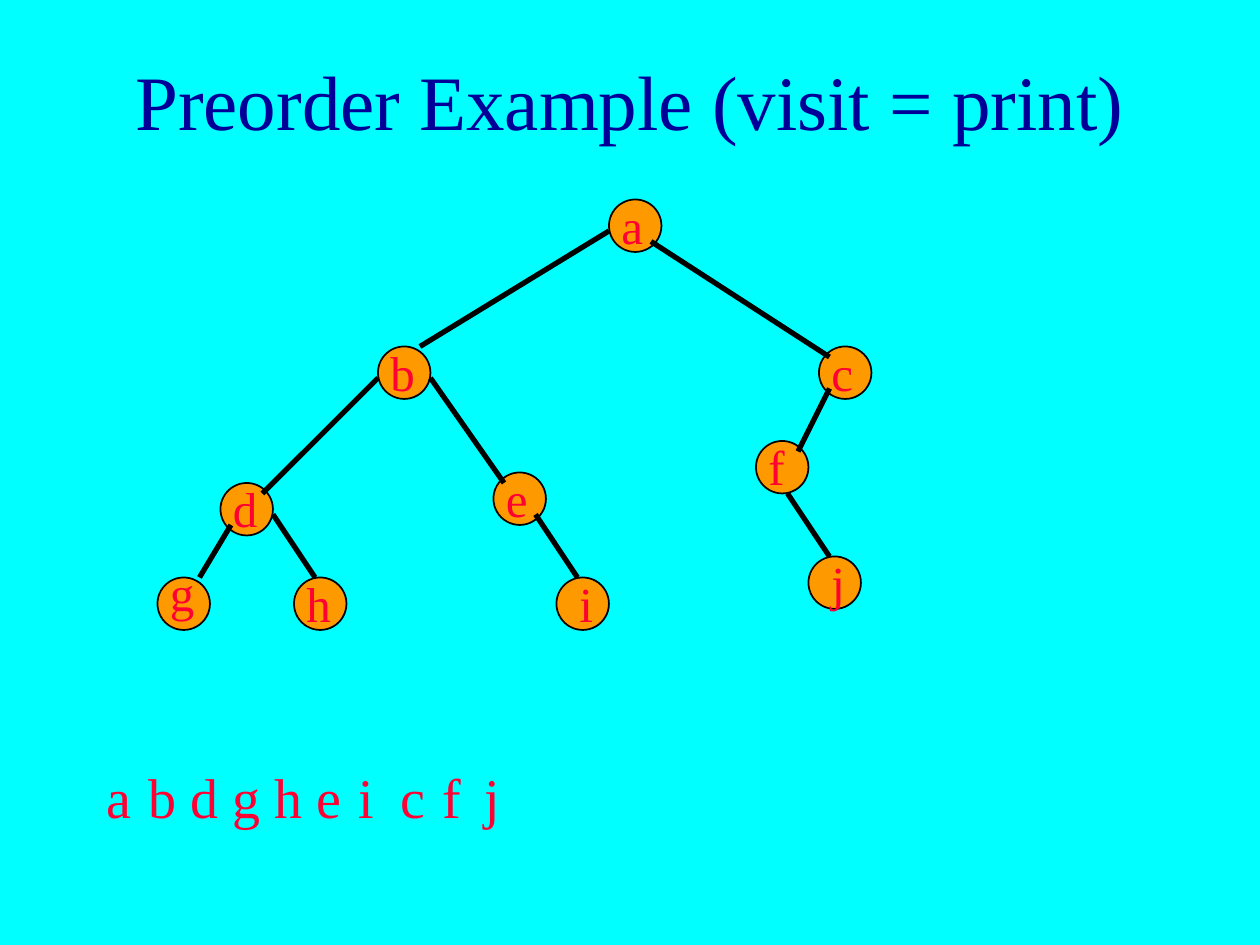
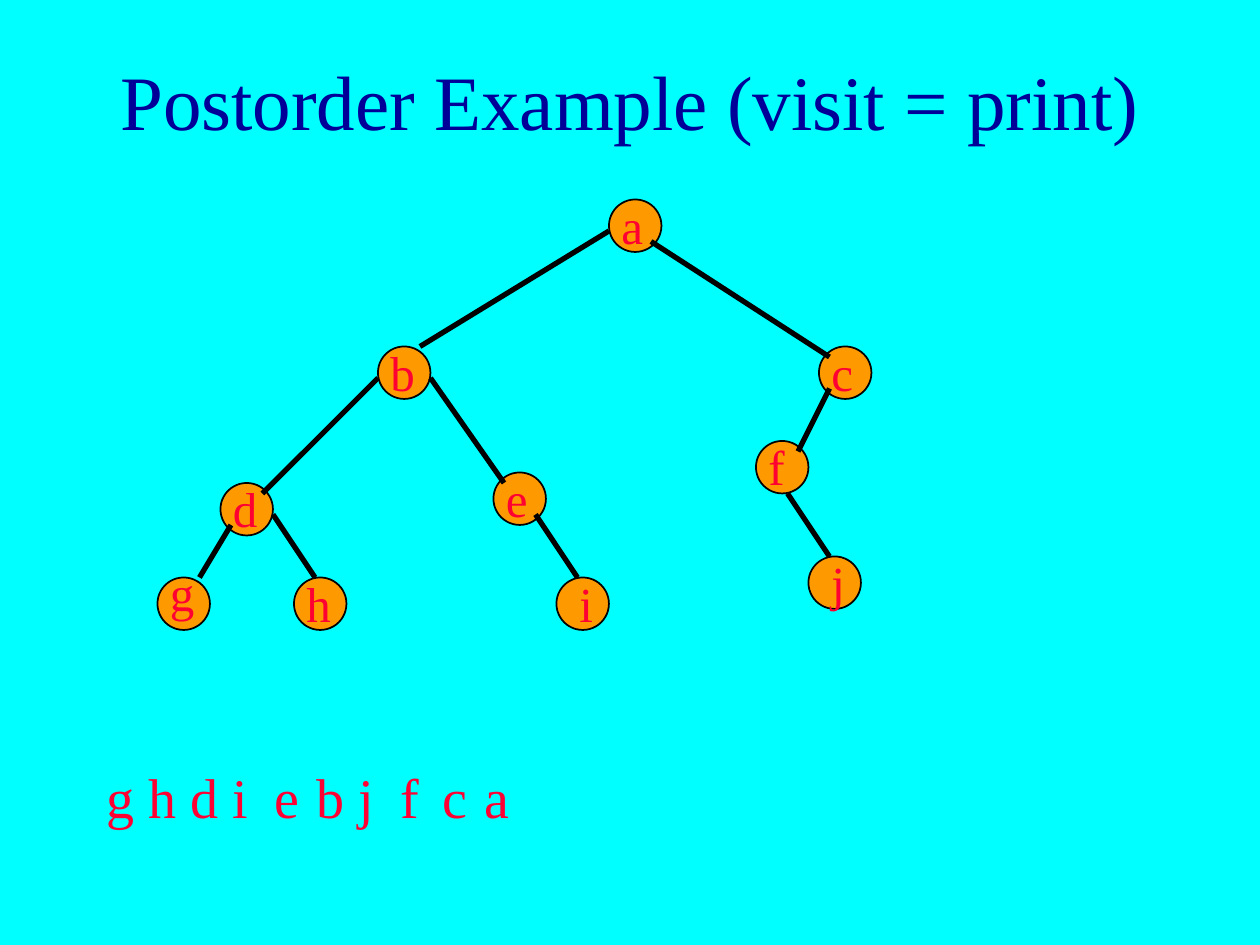
from lxml import etree
from pptx import Presentation
from pptx import util as u
from pptx.dml.color import RGBColor
from pptx.enum import shapes, text
from pptx.oxml import ns

PX = u.Inches(1) // 120
FONT = "Times New Roman"
CYAN = RGBColor(0x00, 0xFF, 0xFF)
NAVY = RGBColor(0x00, 0x00, 0x99)
ORANGE = RGBColor(0xFF, 0x99, 0x00)
RED = RGBColor(0xFF, 0x00, 0x33)
BLACK = RGBColor(0x00, 0x00, 0x00)

TRAVERSALS = [
    ("Preorder Example (visit = print)", "abdgheicfj"),
    ("Postorder Example (visit = print)", "ghdiebjfca"),
]

# Left and top of each node's circle
NODES = {
    "a": (580, 190),
    "b": (360, 330), "c": (780, 330),
    "d": (210, 460), "e": (470, 450), "f": (720, 420),
    "g": (150, 550), "h": (280, 550), "i": (530, 550), "j": (770, 530),
}
NODE_SIZE = 50

# Offset of a letter's box from its circle
LABEL_OFFSET = (0, -10)
LABEL_OFFSETS = {"g": (0, -20), "i": (10, -10), "j": (10, -10)}

# Start and end of each branch, parent to child
EDGES = {
    "ab": (580, 220, 400, 330), "ac": (620, 230, 790, 340),
    "bd": (360, 360, 250, 470), "be": (410, 360, 480, 460),
    "cf": (790, 370, 760, 430),
    "dg": (220, 500, 190, 550), "dh": (260, 490, 300, 550),
    "ei": (510, 490, 550, 550),
    "fj": (750, 470, 790, 530),
}

TITLE_BOX = (90, 20, 1020, 150)
OUTPUT_LEFT, OUTPUT_TOP, OUTPUT_STEP = 90, 720, 40


def px(*lengths):
    return [n * PX for n in lengths]


def style(p, size, color):
    p.font.name = FONT
    p.font.size = u.Pt(size)
    p.font.color.rgb = color


def add_title(s, words):
    sp = s.shapes.title
    sp.left, sp.top, sp.width, sp.height = px(*TITLE_BOX)
    tf = sp.text_frame
    tf.text = words
    tf.auto_size = text.MSO_AUTO_SIZE.NONE
    tf.vertical_anchor = text.MSO_ANCHOR.MIDDLE
    p = tf.paragraphs[0]
    p.alignment = text.PP_ALIGN.CENTER
    style(p, 44, NAVY)


def add_letter(parent, letter, box, size):
    tf = parent.add_textbox(*px(*box)).text_frame
    tf.word_wrap = True
    tf.auto_size = text.MSO_AUTO_SIZE.SHAPE_TO_FIT_TEXT
    tf.text = letter
    style(tf.paragraphs[0], size, RED)


def add_node(parent, x, y):
    sp = parent.add_shape(shapes.MSO_SHAPE.OVAL, *px(x, y, NODE_SIZE, NODE_SIZE))
    sp.shadow.inherit = False
    sp.fill.solid()
    sp.fill.fore_color.rgb = ORANGE
    sp.line.color.rgb = BLACK
    sp.line.width = u.Pt(1)


def add_edge(parent, ends):
    line = parent.add_connector(shapes.MSO_CONNECTOR.STRAIGHT, *px(*ends))
    line.line.color.rgb = BLACK
    line.line.width = u.Pt(3)
    etree.SubElement(line._element.spPr, ns.qn("a:effectLst"))


def add_tree(s):
    tree = s.shapes.add_group_shape().shapes
    for x, y in NODES.values():
        add_node(tree, x, y)
    for ends in EDGES.values():
        add_edge(tree, ends)
    for letter, (x, y) in NODES.items():
        dx, dy = LABEL_OFFSETS.get(letter, LABEL_OFFSET)
        add_letter(tree, letter, (x + dx, y + dy, 100, 68), 28)


def add_output(s, order):
    """Print the visited letters in one evenly spaced row."""
    for i, letter in enumerate(order):
        box = (OUTPUT_LEFT + i * OUTPUT_STEP, OUTPUT_TOP, 50, 77)
        add_letter(s.shapes, letter, box, 32)


def main():
    prs = Presentation()
    prs.slide_width, prs.slide_height = px(1200, 900)
    fill = prs.slide_master.background.fill
    fill.solid()
    fill.fore_color.rgb = CYAN
    title_only = prs.slide_layouts.get_by_name("Title Only")
    for words, order in TRAVERSALS:
        s = prs.slides.add_slide(title_only)
        add_title(s, words)
        add_tree(s)
        add_output(s, order)
    prs.save("out.pptx")


if __name__ == "__main__":
    main()
